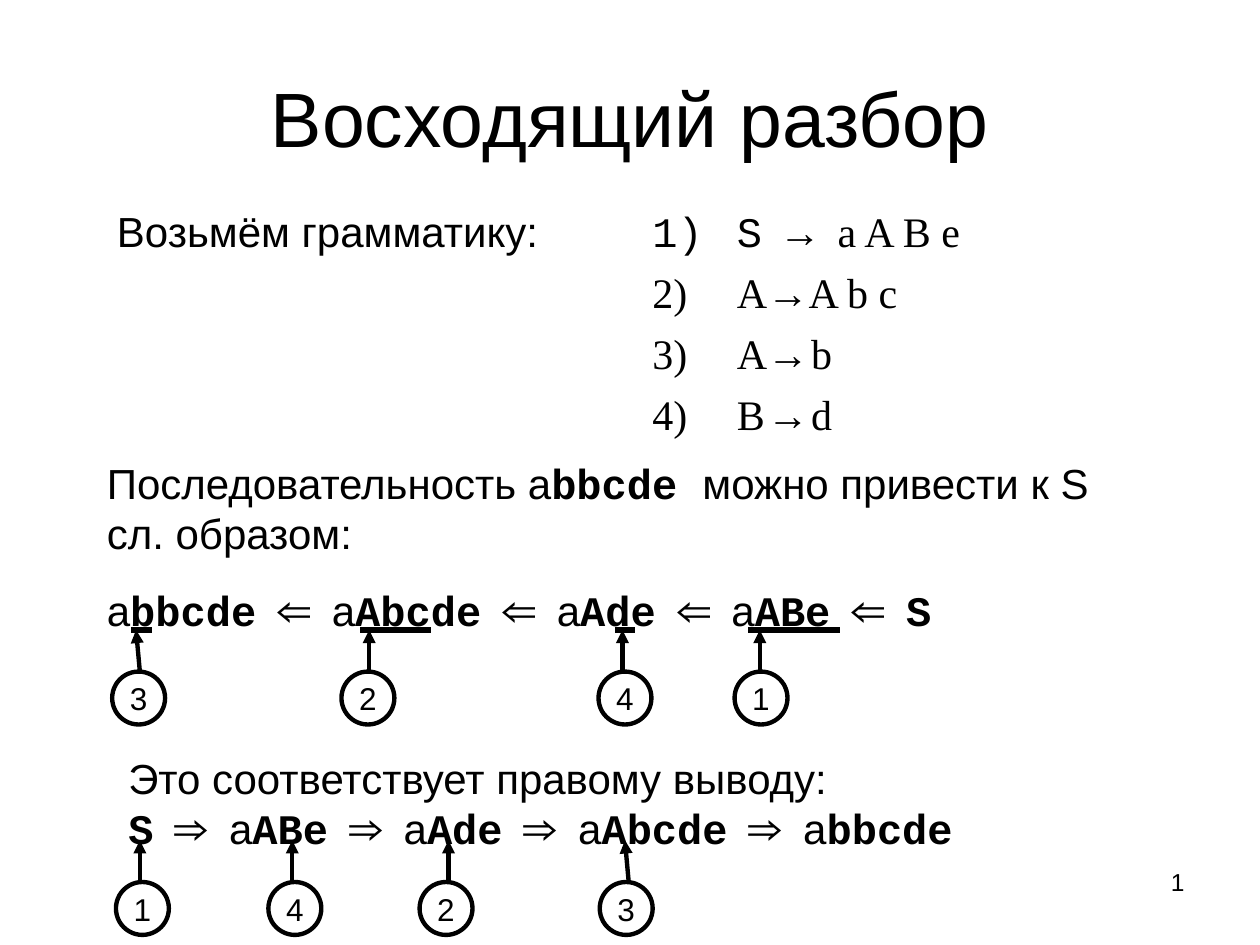
from typing import NamedTuple

from lxml.etree import SubElement
from pptx import Presentation
from pptx.dml.color import RGBColor
from pptx.enum.shapes import MSO_CONNECTOR, MSO_SHAPE
from pptx.enum.text import MSO_ANCHOR, MSO_AUTO_SIZE, PP_ALIGN
from pptx.oxml.ns import qn
from pptx.util import Inches, Pt

BLACK = RGBColor(0x00, 0x00, 0x00)
SANS, MONO, SERIF = "Arial", "Courier New", "Times New Roman"
CIRCLE_SIZE = 0.42
ARROW_LENGTH = 0.33


class Run(NamedTuple):
    text: str
    font: str = SANS
    bold: bool = False


class Step(NamedTuple):
    rule: str
    circle_left: float
    arrow_start: float
    arrow_end: float


class Underline(NamedTuple):
    start: float
    end: float


GRAMMAR = [
    [Run("S → ", MONO), Run("a A B e", SERIF)],
    [Run("A ", SERIF), Run("→", MONO), Run(" A b c", SERIF)],
    [Run("A ", SERIF), Run("→", MONO), Run(" b", SERIF)],
    [Run("B ", SERIF), Run("→", MONO), Run(" d", SERIF)],
]
REDUCTION_STEPS = [
    Step("3", 0.89, 1.11, 1.08),
    Step("2", 2.71, 2.93, 2.93),
    Step("4", 4.75, 4.94, 4.94),
    Step("1", 5.83, 6.03, 6.03),
]
DERIVATION_STEPS = [
    Step("1", 0.92, 1.11, 1.11),
    Step("4", 2.13, 2.32, 2.32),
    Step("2", 3.33, 3.56, 3.56),
    Step("3", 4.76, 4.99, 4.96),
]
HANDLES = [
    Underline(1.04, 1.21),
    Underline(2.86, 3.42),
    Underline(4.88, 5.04),
    Underline(5.94, 6.67),
]


def format_paragraph(paragraph, size: float) -> None:
    paragraph.font.size = Pt(size)
    paragraph.font.color.rgb = BLACK


def add_runs(paragraph, runs: list[Run], size: float = 24) -> None:
    format_paragraph(paragraph, size)
    for item in runs:
        run = paragraph.add_run()
        run.text = item.text
        run.font.name = item.font
        run.font.bold = item.bold


def add_text(slide, left: float, top: float, width: float, height: float):
    box = slide.shapes.add_textbox(Inches(left), Inches(top), Inches(width), Inches(height))
    box.text_frame.word_wrap = True
    return box.text_frame


def add_line(slide, start: tuple[float, float], end: tuple[float, float],
             width: float, arrow: bool = False) -> None:
    line = slide.shapes.add_connector(MSO_CONNECTOR.STRAIGHT, *map(Inches, start + end))
    line.line.color.rgb = BLACK
    line.line.width = Pt(width)
    properties = line._element.spPr
    if arrow:
        SubElement(properties.find(qn("a:ln")), qn("a:tailEnd"), type="triangle")
    SubElement(properties, qn("a:effectLst"))


def add_step(slide, step: Step, top: float) -> None:
    add_line(slide, (step.arrow_start, top), (step.arrow_end, top - ARROW_LENGTH), 2.5, arrow=True)
    circle = slide.shapes.add_shape(MSO_SHAPE.OVAL, Inches(step.circle_left), Inches(top),
                                    Inches(CIRCLE_SIZE), Inches(CIRCLE_SIZE))
    circle.shadow.inherit = False
    circle.fill.background()
    circle.line.color.rgb = BLACK
    circle.line.width = Pt(2.5)
    frame = circle.text_frame
    frame.word_wrap = False
    frame.vertical_anchor = MSO_ANCHOR.MIDDLE
    paragraph = frame.paragraphs[0]
    paragraph.alignment = PP_ALIGN.CENTER
    add_runs(paragraph, [Run(step.rule)], 18)


def sentence_runs(*tails: str) -> list[Run]:
    return [run for tail in tails for run in (Run("a"), Run(tail, MONO, True))]


def add_grammar(slide) -> None:
    frame = add_text(slide, 5.08, 1.58, 2.83, 2.08)
    for index, rule in enumerate(GRAMMAR):
        paragraph = frame.add_paragraph() if index else frame.paragraphs[0]
        properties = paragraph._p.get_or_add_pPr()
        properties.set("marL", str(Inches(0.67)))
        properties.set("indent", str(-Inches(0.67)))
        SubElement(properties, qn("a:buAutoNum"), type="arabicParenR")
        if index:
            paragraph.space_before = Pt(6)
        add_runs(paragraph, rule)


def add_reduction(slide) -> None:
    frame = add_text(slide, 0.75, 3.58, 8.17, 1.51)
    frame.auto_size = MSO_AUTO_SIZE.SHAPE_TO_FIT_TEXT
    add_runs(frame.paragraphs[0], [
        Run("Последовательность a"),
        Run("bbcde ", MONO, True),
        Run("можно привести к S сл. образом:"),
    ])
    paragraph = frame.add_paragraph()
    paragraph.space_before = Pt(15)
    add_runs(paragraph, sentence_runs("bbcde ⇐ ", "Abcde ⇐ ", "Ade ⇐ ", "ABe ⇐ S"))
    for step in REDUCTION_STEPS:
        add_step(slide, step, 5.33)
    for handle in HANDLES:
        add_line(slide, (handle.start, 5), (handle.end, 5), 3)


def add_derivation(slide) -> None:
    frame = add_text(slide, 0.92, 5.92, 8, 0.9)
    frame.auto_size = MSO_AUTO_SIZE.SHAPE_TO_FIT_TEXT
    paragraph = frame.paragraphs[0]
    add_runs(paragraph, [Run("Это соответствует правому выводу:")])
    paragraph.add_line_break()
    add_runs(paragraph, [Run("S ⇒ ", MONO, True)]
             + sentence_runs("ABe ⇒ ", "Ade ⇒ ", "Abcde ⇒ ", "bbcde"))
    for step in DERIVATION_STEPS:
        add_step(slide, step, 7)


def add_title(slide) -> None:
    title = slide.shapes.title
    title.left, title.top, title.width, title.height = map(Inches, (0.5, 0.3, 9, 1.25))
    title.text_frame.vertical_anchor = MSO_ANCHOR.MIDDLE
    paragraph = title.text_frame.paragraphs[0]
    paragraph.alignment = PP_ALIGN.CENTER
    add_runs(paragraph, [Run("Восходящий разбор")], 44)


def main() -> None:
    presentation = Presentation()
    presentation.slide_width, presentation.slide_height = Inches(10), Inches(7.5)
    slide = presentation.slides.add_slide(presentation.slide_layouts[5])
    add_title(slide)
    page_number = add_text(slide, 7.17, 6.83, 2.33, 0.52).paragraphs[0]
    page_number.alignment = PP_ALIGN.RIGHT
    add_runs(page_number, [Run("1")], 14)
    add_grammar(slide)
    introduction = add_text(slide, 0.83, 1.58, 3.83, 0.5)
    introduction.auto_size = MSO_AUTO_SIZE.SHAPE_TO_FIT_TEXT
    add_runs(introduction.paragraphs[0], [Run("Возьмём грамматику:")])
    add_reduction(slide)
    add_derivation(slide)
    presentation.save("out.pptx")


if __name__ == "__main__":
    main()
